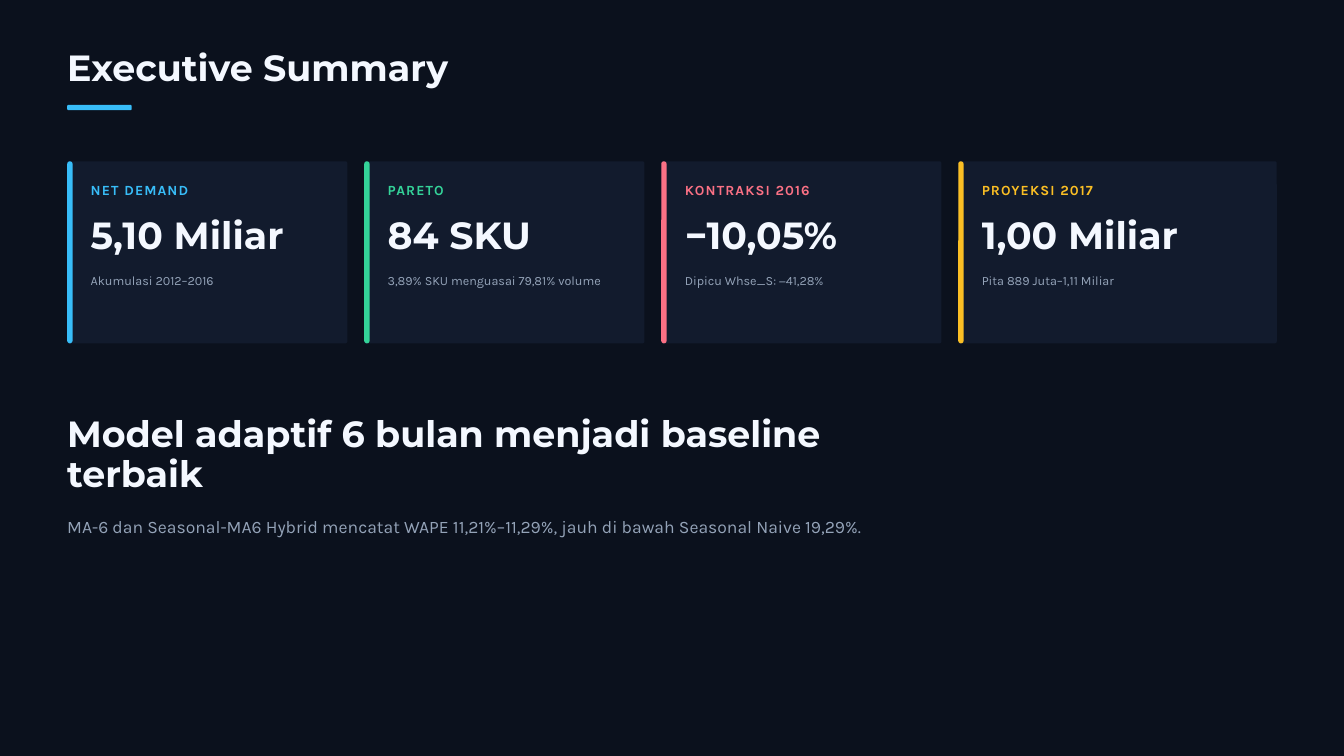
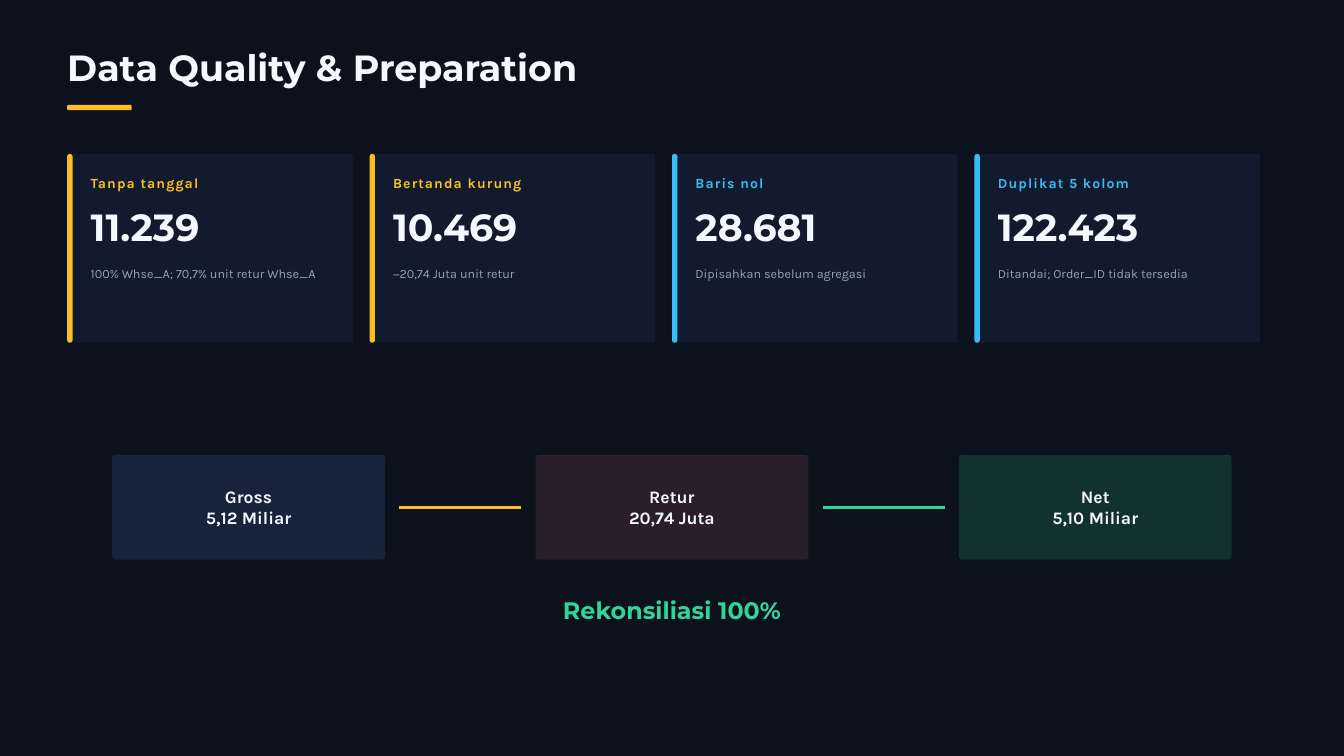
from lxml.etree import SubElement
from pptx import Presentation
from pptx.dml.color import RGBColor
from pptx.enum.shapes import MSO_CONNECTOR, MSO_SHAPE
from pptx.enum.text import MSO_ANCHOR, MSO_AUTO_SIZE, PP_ALIGN
from pptx.oxml.ns import qn
from pptx.util import Inches, Pt

BACKGROUND = RGBColor(0x0B, 0x11, 0x1D)
PANEL = RGBColor(0x12, 0x1B, 0x2D)
WHITE = RGBColor(0xF4, 0xF8, 0xFF)
GREY = RGBColor(0x94, 0xA3, 0xB8)
BLUE = RGBColor(0x38, 0xBD, 0xF8)
GREEN = RGBColor(0x34, 0xD3, 0x99)
RED = RGBColor(0xFB, 0x71, 0x85)
YELLOW = RGBColor(0xFB, 0xBF, 0x24)
GROSS_FILL = RGBColor(0x17, 0x23, 0x3A)
RETURN_FILL = RGBColor(0x2A, 0x1D, 0x2C)
NET_FILL = RGBColor(0x12, 0x32, 0x2D)

HEADING_FONT = "Montserrat"
BODY_FONT = "Karla"
MARGIN = 1
CARD_GAP = 0.25


def write(shape, lines, font, size, color, line_height, bold=False,
          align=PP_ALIGN.LEFT, anchor=MSO_ANCHOR.TOP, inset=0, tracking=0):
    """Fill a shape with equally styled paragraphs; tracking is in points."""
    frame = shape.text_frame
    frame.word_wrap = True
    frame.auto_size = MSO_AUTO_SIZE.NONE
    frame.vertical_anchor = anchor
    frame.margin_left = frame.margin_right = Inches(inset)
    frame.margin_top = frame.margin_bottom = Inches(inset)
    frame.text = "\n".join(lines)
    for paragraph in frame.paragraphs:
        paragraph.alignment = align
        paragraph.line_spacing = Pt(line_height)
        paragraph.font.name = font
        paragraph.font.size = Pt(size)
        paragraph.font.bold = bold
        paragraph.font.color.rgb = color
        if tracking:
            for run in paragraph.runs:
                run._r.get_or_add_rPr().set("spc", str(round(tracking * 100)))


def add_text(slide, left, top, width, height, text, *style, **options):
    box = slide.shapes.add_textbox(Inches(left), Inches(top), Inches(width), Inches(height))
    write(box, [text], *style, **options)


def add_rounded(slide, left, top, width, height, radius, color):
    shape = slide.shapes.add_shape(MSO_SHAPE.ROUNDED_RECTANGLE, Inches(left), Inches(top),
                                   Inches(width), Inches(height))
    shape.adjustments[0] = radius / min(width, height)
    shape.shadow.inherit = False
    shape.fill.solid()
    shape.fill.fore_color.rgb = color
    shape.line.fill.background()
    return shape


def add_titled_slide(presentation, title, accent):
    slide = presentation.slides.add_slide(presentation.slide_layouts.get_by_name("Title Only"))
    heading = slide.shapes.title
    heading.left, heading.top = Inches(MARGIN), Inches(0.73)
    heading.width, heading.height = Inches(15.62), Inches(0.61)
    write(heading, [title], HEADING_FONT, 39, WHITE, 42.1, bold=True)
    add_rounded(slide, MARGIN, 1.56, 0.96, 0.08, 0.02, accent)
    return slide


def add_card(slide, left, top, width, height, label, value, note, accent):
    add_rounded(slide, left, top, width, height, 0.03, PANEL)
    add_rounded(slide, left, top, 0.08, height, 0.04, accent)
    text_left, text_width = left + 0.35, width - 0.71
    add_text(slide, text_left, top + 0.26, text_width, 0.28, label,
             BODY_FONT, 15, accent, 21, bold=True, tracking=1.2)
    add_text(slide, text_left, top + 0.86, text_width, 0.6, value,
             HEADING_FONT, 40.5, WHITE, 40.5, bold=True)
    add_text(slide, text_left, top + 1.65, text_width, 0.22, note,
             BODY_FONT, 13.5, GREY, 16.9)


def add_card_row(slide, top, height, widths, cards):
    left = MARGIN
    for width, card in zip(widths, cards):
        add_card(slide, left, top, width, height, *card)
        left += width + CARD_GAP


def add_flow_line(slide, start, end, middle, color):
    connector = slide.shapes.add_connector(MSO_CONNECTOR.STRAIGHT, Inches(start), Inches(middle),
                                           Inches(end), Inches(middle))
    connector.line.color.rgb = color
    connector.line.width = Pt(3)
    SubElement(connector._element.spPr, qn("a:effectLst"))


def add_flow(slide, steps, line_colors):
    """Draw equally spaced boxes with a free-standing line in each gap."""
    first_left, top, width, height, pitch, clearance = 1.67, 6.77, 4.06, 1.56, 6.3, 0.21
    for index, (name, amount, fill) in enumerate(steps):
        box = add_rounded(slide, first_left + index * pitch, top, width, height, 0.05, fill)
        write(box, [name, amount], BODY_FONT, 18.8, WHITE, 22.5, bold=True,
              align=PP_ALIGN.CENTER, anchor=MSO_ANCHOR.MIDDLE, inset=0.06)
    for index, color in enumerate(line_colors):
        left = first_left + index * pitch
        add_flow_line(slide, left + width + clearance, left + pitch - clearance,
                      top + height / 2, color)


def build_summary(presentation):
    slide = add_titled_slide(presentation, "Executive Summary", BLUE)
    add_card_row(slide, 2.4, 2.71, [4.17, 4.17, 4.17, 4.74], [
        ("NET DEMAND", "5,10 Miliar", "Akumulasi 2012–2016", BLUE),
        ("PARETO", "84 SKU", "3,89% SKU menguasai 79,81% volume", GREEN),
        ("KONTRAKSI 2016", "−10,05%", "Dipicu Whse_S: −41,28%", RED),
        ("PROYEKSI 2017", "1,00 Miliar", "Pita 889 Juta–1,11 Miliar", YELLOW),
    ])
    add_text(slide, MARGIN, 6.19, 11.56, 1.19, "Model adaptif 6 bulan menjadi baseline terbaik",
             HEADING_FONT, 39, WHITE, 42.1, bold=True)
    add_text(slide, MARGIN, 7.64, 13.02, 0.34,
             "MA-6 dan Seasonal-MA6 Hybrid mencatat WAPE 11,21%–11,29%, "
             "jauh di bawah Seasonal Naive 19,29%.",
             BODY_FONT, 18.8, GREY, 25.3)


def build_data_quality(presentation):
    slide = add_titled_slide(presentation, "Data Quality & Preparation", YELLOW)
    add_card_row(slide, 2.29, 2.81, [4.25] * 4, [
        ("Tanpa tanggal", "11.239", "100% Whse_A; 70,7% unit retur Whse_A", YELLOW),
        ("Bertanda kurung", "10.469", "−20,74 Juta unit retur", YELLOW),
        ("Baris nol", "28.681", "Dipisahkan sebelum agregasi", BLUE),
        ("Duplikat 5 kolom", "122.423", "Ditandai; Order_ID tidak tersedia", BLUE),
    ])
    add_flow(slide, [
        ("Gross", "5,12 Miliar", GROSS_FILL),
        ("Retur", "20,74 Juta", RETURN_FILL),
        ("Net", "5,10 Miliar", NET_FILL),
    ], [YELLOW, GREEN])
    add_text(slide, 7.29, 8.8, 5.42, 0.47, "Rekonsiliasi 100%",
             HEADING_FONT, 25.5, GREEN, 35.7, bold=True, align=PP_ALIGN.CENTER)


def main():
    presentation = Presentation()
    presentation.slide_width, presentation.slide_height = Inches(20), Inches(11.25)
    background = presentation.slide_master.background.fill
    background.solid()
    background.fore_color.rgb = BACKGROUND
    build_summary(presentation)
    build_data_quality(presentation)
    presentation.save("out.pptx")


if __name__ == "__main__":
    main()
